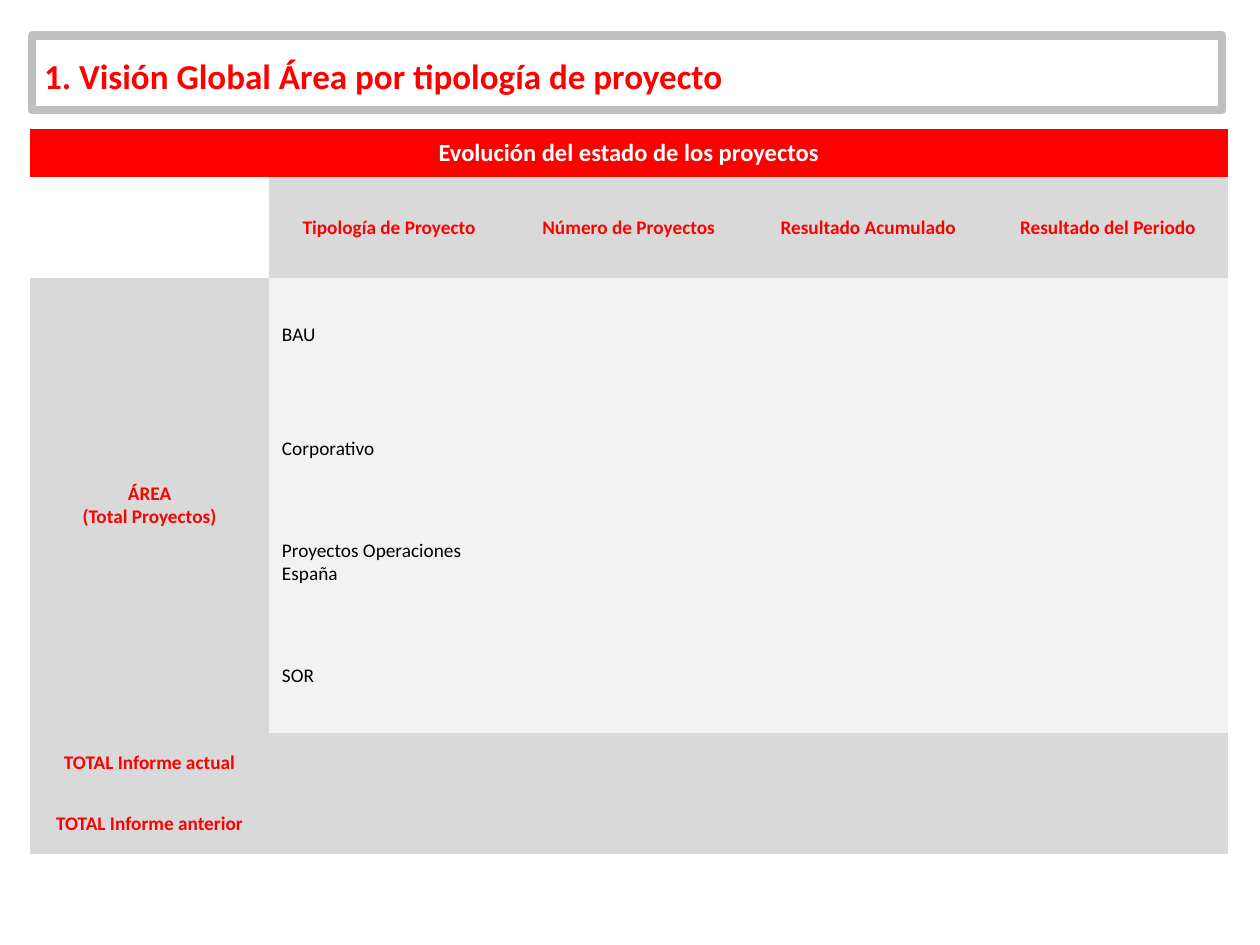
from pptx import Presentation
from pptx.dml.color import RGBColor
from pptx.enum.shapes import MSO_SHAPE as SHAPE
from pptx.enum.text import MSO_ANCHOR as ANCHOR, PP_ALIGN as ALIGN
from pptx.oxml.ns import qn
from pptx.util import Cm, Pt
from lxml.etree import SubElement

RED, WHITE, BLACK = "FF0000", "FFFFFF", "000000"
GREY, LIGHT, BORDER = "D9D9D9", "F2F2F2", "BFBFBF"
NO_STYLE = "{2D5ABB26-0587-4C30-8999-92F81FD0307C}"

HEADERS = ["Tipología de Proyecto", "Número de Proyectos",
           "Resultado Acumulado", "Resultado del Periodo"]
TYPES = ["BAU", "Corporativo", "Proyectos Operaciones España", "SOR"]
TOTALS = ["TOTAL Informe actual", "TOTAL Informe anterior"]
ROW_HEIGHTS = [0.97, 2.04] + [2.29] * len(TYPES) + [1.22] * len(TOTALS)


def rgb(value):
    return RGBColor.from_string(value)


class Deck:
    font = "Calibri"

    def __init__(self, prs):
        self.s = prs.slides.add_slide(prs.slide_layouts[6])

    def text(self, tf, text, size, color, bold=True, align=ALIGN.LEFT):
        tf.text = text
        for p in tf.paragraphs:
            p.alignment = align
            for r in p.runs:
                r.font.name = self.font
                r.font.size = Pt(size)
                r.font.bold = bold
                r.font.color.rgb = rgb(color)

    def title(self, text, left, top, width, height):
        sp = self.s.shapes.add_shape(SHAPE.RECTANGLE, Cm(left), Cm(top), Cm(width), Cm(height))
        sp.shadow.inherit = False
        sp.fill.background()
        sp.line.color.rgb = rgb(BORDER)
        sp.line.width = Pt(4.75)
        SubElement(sp.line._get_or_add_ln(), qn("a:round"))
        tf = sp.text_frame
        tf.word_wrap = True
        tf.vertical_anchor = ANCHOR.MIDDLE
        tf.margin_left = tf.margin_right = tf.margin_top = Cm(0.25)
        tf.margin_bottom = Cm(0.13)
        self.text(tf, text, 20, RED)

    def table(self, left, top, col_width, cols, heights):
        frame = self.s.shapes.add_table(len(heights), cols, Cm(left), Cm(top),
                                        Cm(col_width * cols), Cm(sum(heights)))
        table = frame.table
        table._tbl.tblPr.find(qn("a:tableStyleId")).text = NO_STYLE
        for col in table.columns:
            col.width = Cm(col_width)
        for row, height in zip(table.rows, heights):
            row.height = Cm(height)
        return table

    def cell(self, cell, fill, text="", size=11, color=RED, bold=True, align=ALIGN.CENTER):
        cell.fill.solid()
        cell.fill.fore_color.rgb = rgb(fill)
        cell.vertical_anchor = ANCHOR.MIDDLE
        if text:
            self.text(cell.text_frame, text, size, color, bold, align)


def main():
    prs = Presentation()
    prs.slide_width, prs.slide_height = Cm(25.4), Cm(19.05)
    deck = Deck(prs)
    cols = len(HEADERS) + 1
    blanks = [""] * (cols - 2)

    table = deck.table(0.6, 2.6, 4.83, cols, ROW_HEIGHTS)
    table.cell(0, 0).merge(table.cell(0, cols - 1))
    table.cell(2, 0).merge(table.cell(1 + len(TYPES), 0))

    deck.cell(table.cell(0, 0), RED, "Evolución del estado de los proyectos", 14, WHITE)
    deck.cell(table.cell(1, 0), WHITE)
    for col, header in enumerate(HEADERS, 1):
        deck.cell(table.cell(1, col), GREY, header)
    deck.cell(table.cell(2, 0), GREY, "ÁREA\n(Total Proyectos)")
    for row, kind in enumerate(TYPES, 2):
        for col, text in enumerate([kind] + blanks, 1):
            deck.cell(table.cell(row, col), LIGHT, text, color=BLACK, bold=False, align=ALIGN.LEFT)
    for row, total in enumerate(TOTALS, 2 + len(TYPES)):
        for col, text in enumerate([total, ""] + blanks):
            deck.cell(table.cell(row, col), GREY, text)

    deck.title("1. Visión Global Área por tipología de proyecto", 0.64, 0.72, 24, 1.5)
    prs.save("out.pptx")


if __name__ == "__main__":
    main()
